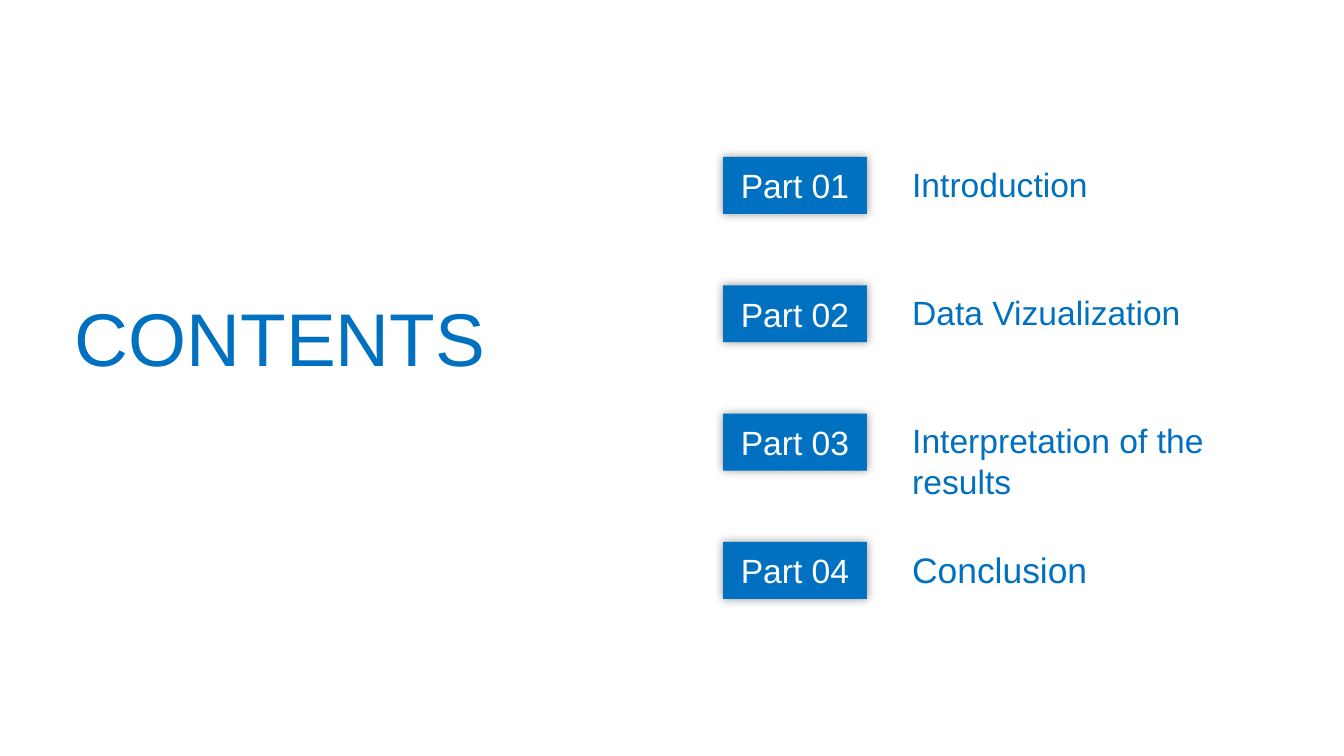
from lxml.etree import SubElement
from pptx import Presentation
from pptx.dml.color import RGBColor
from pptx.enum.shapes import MSO_SHAPE
from pptx.enum.text import MSO_ANCHOR, MSO_AUTO_SIZE, PP_ALIGN
from pptx.oxml.ns import qn
from pptx.util import Emu, Pt

BLUE = RGBColor(0x00, 0x70, 0xC0)
WHITE = RGBColor(0xFF, 0xFF, 0xFF)

TITLE = "CONTENTS"
# label, topic, topic width, topic height, topic size in points
PARTS = [
    ("Part 01", "Introduction", 203, 54, 18),
    ("Part 02", "Data Vizualization", 296, 54, 18),
    ("Part 03", "Interpretation of the results", 426, 97, 18),
    ("Part 04", "Conclusion", 202, 56, 19),
]

SLIDE_W, SLIDE_H = 1344, 756
TITLE_BOX = (56, 285, 448, 195)
LABEL_X, LABEL_W, LABEL_H = 723, 144, 57
TOPIC_X = 899
FIRST_Y, LAST_Y = 157, 542


def px(n):
    return Emu(round(n * 914400 / 134.4))


def write(sp, text, size, color, align, **frame):
    """Put one styled line in a shape; frame holds text frame settings."""
    tf = sp.text_frame
    for name, value in frame.items():
        setattr(tf, name, value)
    p = tf.paragraphs[0]
    p.alignment = align
    r = p.add_run()
    r.text = text
    for name, value in {"name": "Arial", "size": Pt(size)}.items():
        setattr(r.font, name, value)
    r.font.color.rgb = color


def add_glow_shadow(sp):
    """Add a soft black shadow, 5 pt blur, spread evenly on all sides."""
    sp.shadow.inherit = False
    effects = sp._element.spPr.find(qn("a:effectLst"))
    shadow = SubElement(effects, qn("a:outerShdw"), blurRad=str(Pt(5)),
                        dist="0", dir="0", algn="ctr", rotWithShape="0")
    black = SubElement(shadow, qn("a:srgbClr"), val="000000")
    SubElement(black, qn("a:alpha"), val="40000")


def add_label(s, y, text):
    sp = s.shapes.add_shape(MSO_SHAPE.RECTANGLE,
                            *map(px, (LABEL_X, y, LABEL_W, LABEL_H)))
    sp.fill.solid()
    sp.fill.fore_color.rgb = BLUE
    sp.line.fill.background()
    add_glow_shadow(sp)
    write(sp, text, 18, WHITE, PP_ALIGN.CENTER,
          vertical_anchor=MSO_ANCHOR.MIDDLE)


def add_text(s, box, text, size, align, wrap):
    sp = s.shapes.add_textbox(*map(px, box))
    write(sp, text, size, BLUE, align, word_wrap=wrap,
          auto_size=MSO_AUTO_SIZE.SHAPE_TO_FIT_TEXT)


def main():
    prs = Presentation()
    prs.slide_width, prs.slide_height = px(SLIDE_W), px(SLIDE_H)
    s = prs.slides.add_slide(prs.slide_layouts[6])

    pitch = (LAST_Y - FIRST_Y) / (len(PARTS) - 1)
    for i, (label, topic, w, h, size) in enumerate(PARTS):
        y = FIRST_Y + i * pitch
        add_label(s, y, label)
        add_text(s, (TOPIC_X, y, w, h), topic, size, PP_ALIGN.LEFT, False)
    add_text(s, TITLE_BOX, TITLE, 40, PP_ALIGN.CENTER, True)

    prs.save("out.pptx")


if __name__ == "__main__":
    main()
